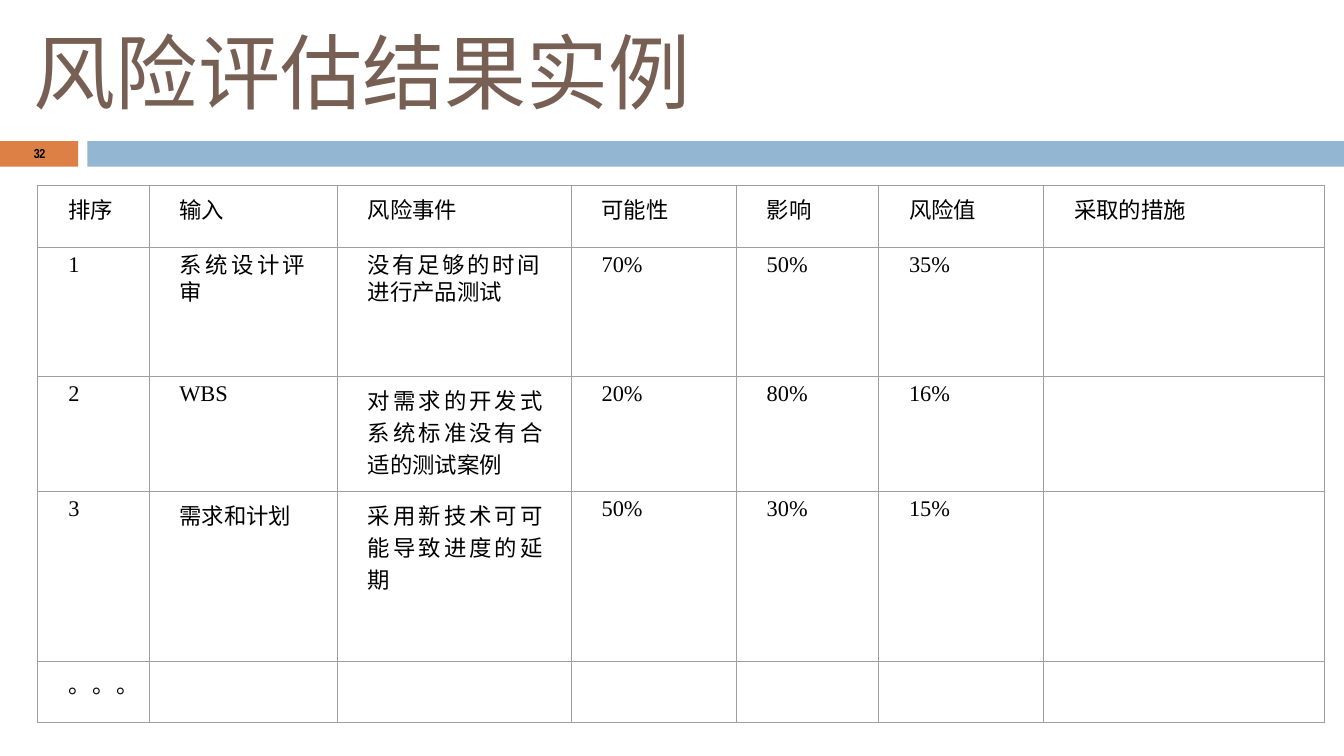
from lxml.etree import SubElement
from pptx import Presentation
from pptx.dml.color import RGBColor
from pptx.enum.shapes import MSO_SHAPE as Shape
from pptx.enum.text import MSO_ANCHOR as Anchor, MSO_AUTO_SIZE as Auto, PP_ALIGN as Align
from pptx.oxml.ns import qn
from pptx.util import Cm, Pt

HAN, ROMAN = "Noto Sans CJK SC", "Times New Roman"
COLS = [2.1, 3.56, 4.42, 3.12, 2.69, 3.12, 5.31]
ROWS = [1.17, 2.44, 2.18, 3.2, 1.17]
HEAD = ["排序", "输入", "风险事件", "可能性", "影响", "风险值", "采取的措施"]
RISKS = [
    ["1", "", "", "70%", "50%", "35%", ""],
    ["2", "WBS", "", "20%", "80%", "16%", ""],
    ["3", "需求和计划", "", "50%", "30%", "15%", ""],
]


def paint(code):
    """Return the colour for a hex string."""
    return RGBColor.from_string(code)


def style(run, size, face, code="000000", track=0, bold=False):
    """Format one run, with letter spacing in points."""
    font = run.font
    font.size, font.name, font.bold = Pt(size), face, bold
    font.color.rgb = paint(code)
    props = run._r.get_or_add_rPr()
    props.set("spc", str(round(track * 100)))
    SubElement(props, qn("a:ea")).set("typeface", face)


def pad(box, left=0, top=0, right=0):
    """Set the inner margins of a cell or text frame."""
    box.margin_left, box.margin_top = Cm(left), Cm(top)
    box.margin_right, box.margin_bottom = Cm(right), 0


def title(slide, left, top, width, height):
    """Place the slide title."""
    shape = slide.shapes.title
    shape.left, shape.top = Cm(left), Cm(top)
    shape.width, shape.height = Cm(width), Cm(height)
    frame = shape.text_frame
    frame.text = "风险评估结果实例"
    frame.auto_size, frame.word_wrap = Auto.NONE, False
    frame.vertical_anchor = Anchor.MIDDLE
    pad(frame, 0.03, 0.03)
    line = frame.paragraphs[0]
    line.alignment = Align.LEFT
    style(line.runs[0], 44, HAN, "775F54")


def band(slide, left, top, width, height):
    """Draw the two-colour band with the page number."""
    tab, gap = 1.48, 0.17
    rest = tab + gap
    for start, wide, code in [(0, tab, "DD8046"), (rest, width - rest, "93B6D2")]:
        bar = slide.shapes.add_shape(
            Shape.RECTANGLE, Cm(left + start), Cm(top), Cm(wide), Cm(height))
        bar.shadow.inherit = False
        bar.fill.solid()
        bar.fill.fore_color.rgb = paint(code)
        bar.line.fill.background()
    box = slide.shapes.add_textbox(Cm(left + 0.61), Cm(top + 0.03), Cm(0.28), Cm(0.36))
    frame = box.text_frame
    frame.text = "32"
    frame.word_wrap = False
    pad(frame, 0.03, 0.05)
    style(frame.paragraphs[0].runs[0], 7, "Arial Narrow", bold=True, track=-0.1)


def edge(cell, sides):
    """Draw the cell borders from a map of side to width."""
    props = cell._tc.get_or_add_tcPr()
    for side, width in sides.items():
        line = SubElement(props, qn("a:ln" + side), w=str(Pt(width)))
        fill = SubElement(line, qn("a:solidFill"))
        SubElement(fill, qn("a:srgbClr"), val="9F9F9F")


def plain(cell, text, track=0):
    """Write a one-line cell."""
    roman = text.isascii()
    pad(cell, 0.58, 0.1 if roman else 0.13)
    cell.text_frame.text = text
    style(cell.text_frame.paragraphs[0].runs[0], 12, ROMAN if roman else HAN, track=track)


def stack(cell, text, track):
    """Write two tight lines, the first one letter-spaced."""
    pad(cell, 0.58, 0.13)
    cell.text_frame.text = text
    for line, space in zip(cell.text_frame.paragraphs, (track, 0)):
        line.line_spacing = Pt(14.1)
        style(line.runs[0], 12, HAN, track=space)


def flow(cell, text, tail):
    """Write a justified paragraph whose tail is not letter-spaced."""
    pad(cell, 0.58, 0.15, 0.48)
    line = cell.text_frame.paragraphs[0]
    line.text = text
    line.add_run().text = tail
    line.alignment, line.line_spacing = Align.JUSTIFY, 0.98
    for run, space in zip(line.runs, (1.4, 0)):
        style(run, 12, HAN, track=space)


def grid(slide, left, top):
    """Build the risk table."""
    table = slide.shapes.add_table(
        len(ROWS), len(COLS), Cm(left), Cm(top), Cm(sum(COLS)), Cm(sum(ROWS))).table
    table.first_row = table.horz_banding = False
    for col, width in zip(table.columns, COLS):
        col.width = Cm(width)
    for row, height in zip(table.rows, ROWS):
        row.height = Cm(height)
    data = [HEAD, *RISKS, [""] * len(COLS)]
    for i, texts in enumerate(data):
        for j, text in enumerate(texts):
            cell = table.cell(i, j)
            outer = {"L": j == 0, "R": j == len(COLS) - 1,
                     "T": i == 0, "B": i == len(ROWS) - 1}
            edge(cell, {side: 0.75 if out else 0.25 for side, out in outer.items()})
            cell.fill.background()
            if text:
                plain(cell, text)
    plain(table.cell(4, 0), "。。。", 0.9)
    stack(table.cell(1, 1), "系统设计评\n审", 1.9)
    stack(table.cell(1, 2), "没有足够的时间\n进行产品测试", 1.4)
    flow(table.cell(2, 2), "对需求的开发式 系统标准没有合 ", "适的测试案例")
    flow(table.cell(3, 2), "采用新技术可可 能导致进度的延 ", "期")


def main():
    """Build and save the slide."""
    deck = Presentation()
    deck.slide_width, deck.slide_height = Cm(25.4), Cm(14.29)
    slide = deck.slides.add_slide(deck.slide_layouts[5])
    band(slide, 0, 2.67, 25.4, 0.48)
    title(slide, 0.61, 0.36, 12.5, 1.93)
    grid(slide, 0.71, 3.5)
    deck.save("out.pptx")


if __name__ == "__main__":
    main()
